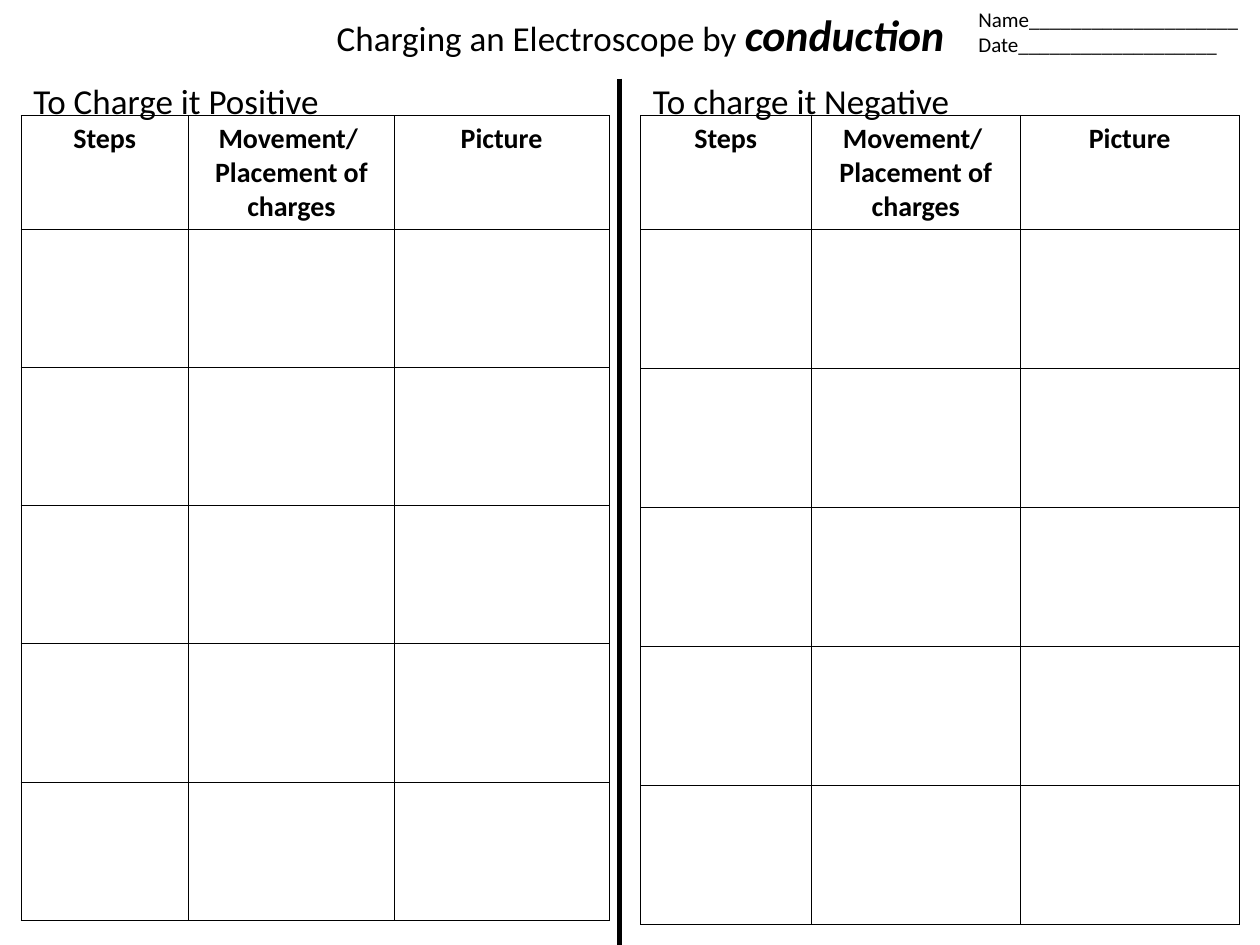
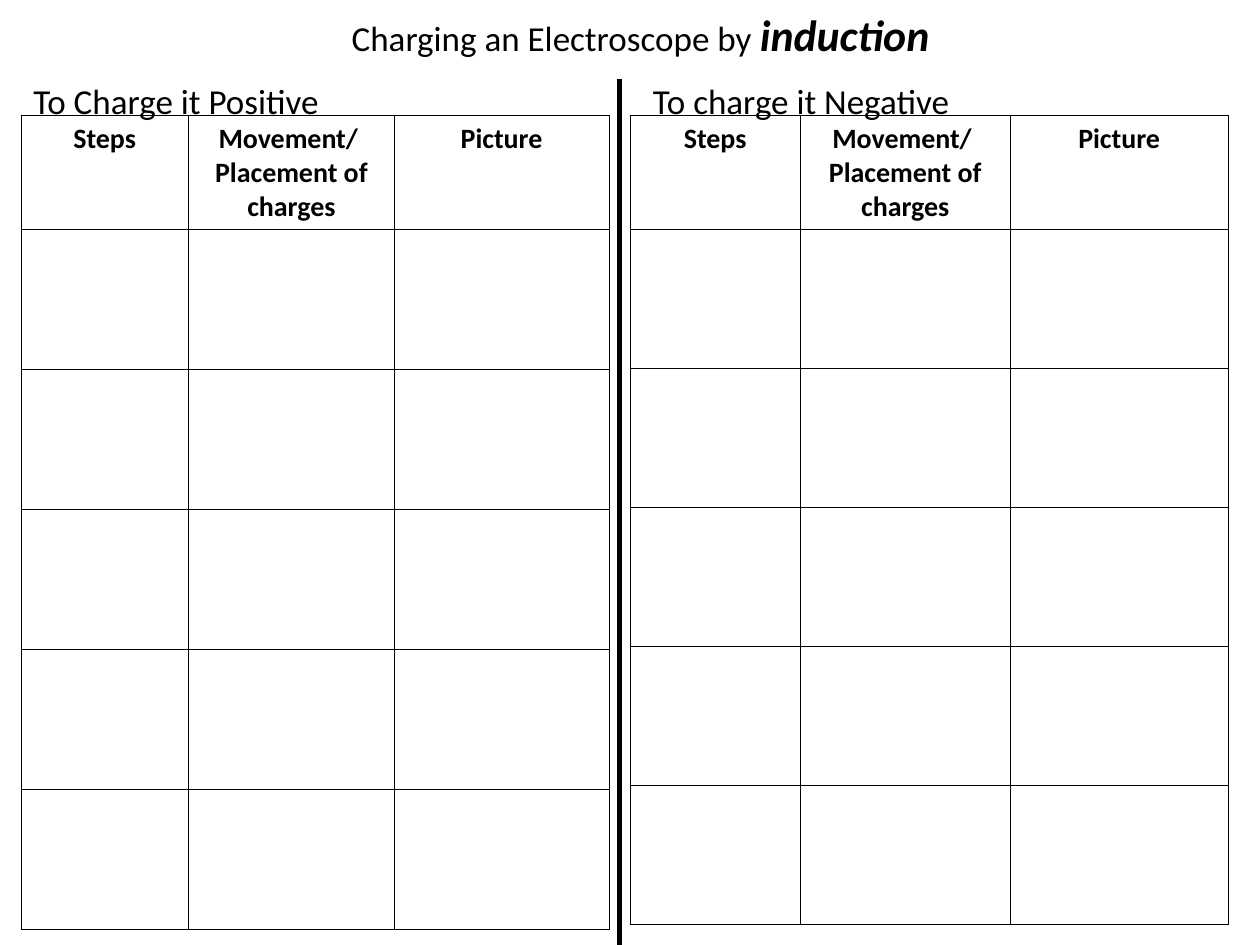
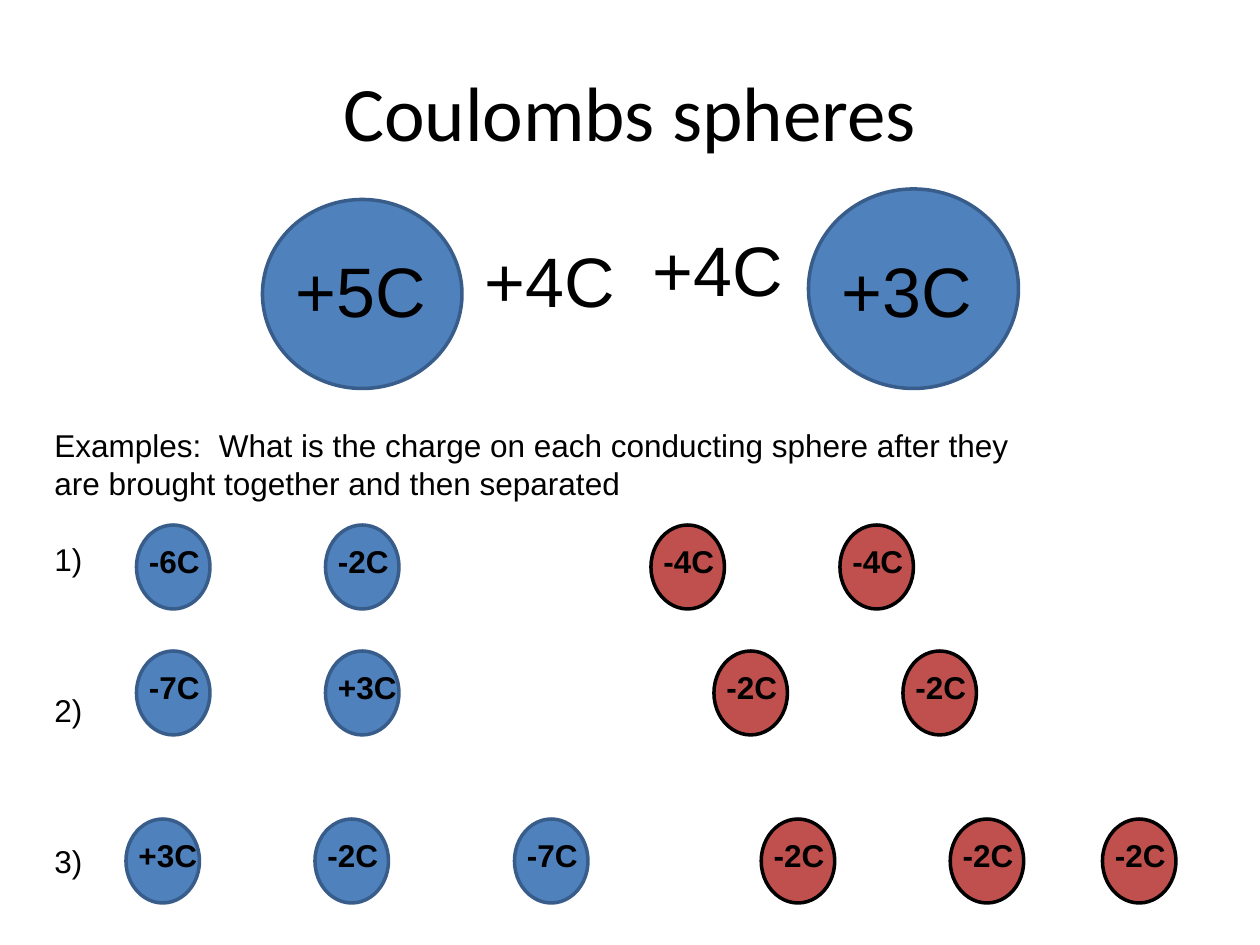
from lxml import etree
from pptx import Presentation
from pptx import util as u
from pptx.dml.color import RGBColor
from pptx.enum import shapes, text
from pptx.oxml import ns

BLACK, BLUE, NAVY, RED = "000000", "4F81BD", "385D8A", "C0504D"
HEADERS = ["Steps", "Movement/  Placement of charges", "Picture"]
COLUMN_SHARES = [0.285, 0.35, 0.365]
HEADER_HEIGHT = u.Inches(0.9)
ANSWER_ROWS = 5

deck = Presentation()
deck.slide_width, deck.slide_height = u.Inches(10), u.Inches(7.5)
blank = deck.slide_layouts[6]

# Grid of 120 columns by 90 rows; its cells are square
UNIT = deck.slide_width // 120


def color(value):
    return RGBColor.from_string(value)


def add_text(page, area, lines, size, font="Calibri", bold=False, centered=False):
    """Place a text box; each line is a list of spans."""
    box = page.shapes.add_textbox(*[int(n * UNIT) for n in area])
    frame = box.text_frame
    frame.word_wrap = True
    frame.text = "\n".join("" for _ in lines)
    for para, spans in zip(frame.paragraphs, lines):
        para.alignment = text.PP_ALIGN.CENTER if centered else text.PP_ALIGN.LEFT
        for words in spans:
            span = para.add_run()
            span.text = words
            span.font.name, span.font.size = font, u.Pt(size)
            span.font.bold = bold
            span.font.color.rgb = color(BLACK)
    if centered:
        frame.vertical_anchor = text.MSO_ANCHOR.MIDDLE
    return frame


# Worksheets: method, then left edge and height in inches of both tables
worksheets = [
    ("conduction", [(2, 56, 6.39), (61, 57, 6.42)]),
    ("induction", [(2, 56, 6.46), (60, 57, 6.42)]),
]
for method, tables in worksheets:
    page = deck.slides.add_slide(blank)

    # Title with the method stressed
    title = add_text(page, (25, 1, 72, 4.4),
                     [["Charging an Electroscope by ", method]], 20, centered=True)
    stress = title.paragraphs[0].runs[1].font
    stress.size, stress.bold, stress.italic = u.Pt(25), True, True

    # Headings of the two halves
    for left, width, heading in [(2, 58, "To Charge it Positive"),
                                 (61, 57, "To charge it Negative")]:
        frame = add_text(page, (left, 7, width, 81), [[heading]], 20)
        para = frame.paragraphs[0]
        para.space_before = u.Pt(5)
        props = para._p.get_or_add_pPr()
        props.set("marL", str(u.Inches(0.38)))
        props.set("indent", str(-u.Inches(0.38)))

    # Divider
    divider = page.shapes.add_connector(
        shapes.MSO_CONNECTOR.STRAIGHT, 59 * UNIT, int(7.5 * UNIT), 59 * UNIT, 90 * UNIT)
    divider.line.color.rgb = color(BLACK)
    divider.line.width = u.Pt(3)
    etree.SubElement(divider._element.spPr, ns.qn("a:effectLst"))

    # Tables to fill in
    for left, width, height in tables:
        table = page.shapes.add_table(
            ANSWER_ROWS + 1, len(HEADERS), left * UNIT, 11 * UNIT,
            width * UNIT, u.Inches(height)).table
        table.first_row = table.horz_banding = False
        for column, share in zip(table.columns, COLUMN_SHARES):
            column.width = int(width * UNIT * share)
        for row in table.rows:
            row.height = (u.Inches(height) - HEADER_HEIGHT) // ANSWER_ROWS
        table.rows[0].height = HEADER_HEIGHT
        for cell, header in zip(table.rows[0].cells, HEADERS):
            cell.text_frame.text = header
            para = cell.text_frame.paragraphs[0]
            para.alignment = text.PP_ALIGN.CENTER
            font = para.runs[0].font
            font.name, font.size, font.bold = "Calibri", u.Pt(16), True
            font.color.rgb = color(BLACK)
        for cell in table.iter_cells():
            props = cell._tc.get_or_add_tcPr()
            for side in ("lnL", "lnR", "lnT", "lnB"):
                border = etree.SubElement(props, ns.qn("a:" + side), w=str(u.Pt(0.45)))
                fill = etree.SubElement(border, ns.qn("a:solidFill"))
                etree.SubElement(fill, ns.qn("a:srgbClr"), val=BLACK)
            cell.fill.background()

# Name and date on the first worksheet
add_text(deck.slides[0], (92, 0, 28, 6),
         [["Name____________________"], ["Date___________________"]], 12)

# Coulombs spheres
page = deck.slides.add_slide(blank)
add_text(page, (6, 3, 108, 15), [["Coulombs spheres"]], 44, centered=True)

# Examples, numbered beside the rows of spheres
LINE = 21.6
frame = add_text(page, (4, 40, 94, 48), [
    ["Examples:  What is the charge on each conducting sphere after they "
     "are brought together and then separated"], ["1)"], ["2)"], ["3)"]], 18, "Arial")
for para, gap_lines in zip(frame.paragraphs, (0, 1, 3, 3)):
    para.line_spacing = u.Pt(LINE)
    para.space_before = u.Pt(LINE * gap_lines)

# Spheres: area, fill, outline, label, label area, label size, bold
spheres = [
    ((77, 18, 20, 19), BLUE, NAVY, "+3C", (79, 23, 17, 9.2), 40, False),
    ((25, 19, 19, 18), BLUE, NAVY, "+5C", (27, 23, 17, 9.2), 40, False),
]
questions = [
    (50, [(13, "-6C"), (31, "-2C")], [(62, "-4C"), (80, "-4C")]),
    (62, [(13, "-7C"), (31, "+3C")], [(68, "-2C"), (86, "-2C")]),
    (78, [(12, "+3C"), (30, "-2C"), (49, "-7C")],
     [(72.5, "-2C"), (90.5, "-2C"), (105, "-2C")]),
]
for top, before, after in questions:
    for group, fill, outline in [(before, BLUE, NAVY), (after, RED, BLACK)]:
        for left, charge in group:
            spheres.append(((left, top, 7, 8), fill, outline, charge,
                            (left, top + 1, 10, 4.8), 18, True))

for area, fill, outline, charge, label_area, size, bold in spheres:
    sphere = page.shapes.add_shape(
        shapes.MSO_SHAPE.OVAL, *[int(n * UNIT) for n in area])
    sphere.shadow.inherit = False
    sphere.fill.solid()
    sphere.fill.fore_color.rgb = color(fill)
    sphere.line.color.rgb = color(outline)
    sphere.line.width = u.Pt(2)
    add_text(page, label_area, [[charge]], size, "Arial", bold)

# Charges after the large spheres touch
for left, top in [(61, 21), (45, 22)]:
    add_text(page, (left, top, 17, 9.2), [["+4C"]], 40, "Arial")

deck.save("out.pptx")
